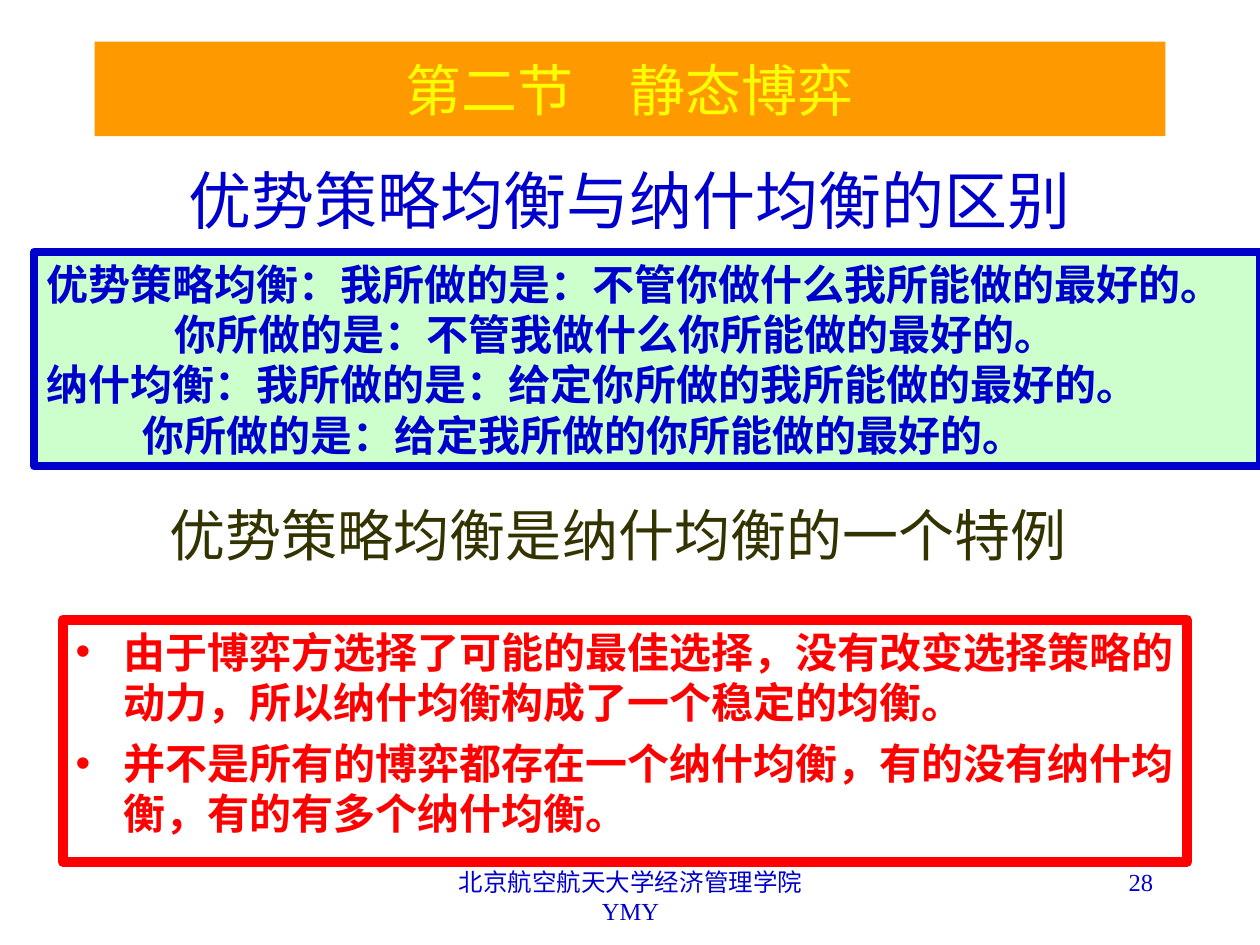
import pptx
import pptx.dml.color
import pptx.enum.shapes
import pptx.enum.text
import pptx.oxml.ns
import pptx.util
from lxml import etree

Inches = pptx.util.Inches
Align = pptx.enum.text.PP_ALIGN
Anchor = pptx.enum.text.MSO_ANCHOR

COLORS = {
    "blue": "0000CC",
    "orange": "FF9900",
    "yellow": "FFFF00",
    "mint": "CCFFCC",
    "olive": "333300",
    "red": "FF0000",
    "white": "FFFFFF",
}
SERIF = "Times New Roman"
SANS = "Arial"
CHINESE = "Noto Sans CJK SC"


def rgb(name):
    """Return the named colour."""
    return pptx.dml.color.RGBColor.from_string(COLORS[name])


def add_element(parent, tag, **attributes):
    """Append a DrawingML element to its parent."""
    return etree.SubElement(parent, pptx.oxml.ns.qn(tag), attributes)


def add_bullet(para, color):
    """Give a paragraph a coloured round bullet and a hanging indent."""
    properties = para._p.get_or_add_pPr()
    properties.set("marL", str(Inches(0.38)))
    properties.set("indent", str(-Inches(0.38)))
    bullet_color = add_element(properties, "a:buClr")
    add_element(bullet_color, "a:srgbClr", val=COLORS[color])
    add_element(properties, "a:buFont", typeface=SANS)
    add_element(properties, "a:buChar", char="•")


def write_text(box, lines, *, size, color, font=SERIF, bold=False, align=Align.LEFT,
               anchor=Anchor.TOP, wrap=True, bullets=False, indents=None, gap=0):
    """Fill a box with formatted paragraphs."""
    frame = box.text_frame
    frame.auto_size = pptx.enum.text.MSO_AUTO_SIZE.NONE
    frame.word_wrap = wrap
    frame.vertical_anchor = anchor
    frame.margin_left = frame.margin_right = Inches(0.1)
    frame.margin_top = frame.margin_bottom = Inches(0.05)
    for index, line in enumerate(lines):
        para = frame.add_paragraph() if index else frame.paragraphs[0]
        para.alignment = align
        para.line_spacing = pptx.util.Pt(size * 1.2)
        para.space_before = pptx.util.Pt(gap if index else 0)
        if bullets:
            add_bullet(para, color)
        if indents:
            para._p.get_or_add_pPr().set("marL", str(Inches(indents[index])))
        span = para.add_run()
        span.text = line
        span.font.size = pptx.util.Pt(size)
        span.font.bold = bold
        span.font.color.rgb = rgb(color)
        span.font.name = font
        add_element(span._r.get_or_add_rPr(), "a:ea", typeface=CHINESE)


def paint(box, fill, line=None, weight=0):
    """Set the fill and the outline of a box."""
    box.fill.solid()
    box.fill.fore_color.rgb = rgb(fill)
    if line:
        box.line.color.rgb = rgb(line)
        box.line.width = pptx.util.Pt(weight)
    else:
        box.line.fill.background()


def place(box, left, top, width, height):
    """Move and size a placeholder."""
    box.left, box.top = Inches(left), Inches(top)
    box.width, box.height = Inches(width), Inches(height)


def add_panel(page, left, top, width, height, **style):
    """Add a painted rectangle without a shadow."""
    box = page.shapes.add_shape(pptx.enum.shapes.MSO_SHAPE.RECTANGLE, Inches(left),
                                Inches(top), Inches(width), Inches(height))
    box.shadow.inherit = False
    paint(box, **style)
    return box


def add_footer(page, text, left, width, align):
    """Add a text box on the footer line."""
    box = page.shapes.add_textbox(Inches(left), Inches(6.83), Inches(width), Inches(0.5))
    write_text(box, [text], size=14, color="blue", align=align)


def main():
    """Build the slide and save it."""
    deck = pptx.Presentation()
    deck.slide_width, deck.slide_height = Inches(10), Inches(7.5)
    page = deck.slides.add_slide(deck.slide_layouts[1])

    title = page.shapes.title
    place(title, 0.75, 0.33, 8.5, 0.75)
    paint(title, "orange")
    write_text(title, ["第二节　静态博弈"], size=32, color="yellow",
               align=Align.CENTER, anchor=Anchor.MIDDLE)

    body = page.placeholders[1]
    place(body, 0.5, 4.92, 8.92, 1.92)
    paint(body, "white", "red", 6)
    write_text(body, [
        "由于博弈方选择了可能的最佳选择，没有改变选择策略的动力，所以纳什均衡构成了一个稳定的均衡。",
        "并不是所有的博弈都存在一个纳什均衡，有的没有纳什均衡，有的有多个纳什均衡。",
    ], size=24, color="red", font=SANS, bold=True, bullets=True, gap=6)

    heading = add_panel(page, 1, 1.17, 8, 0.83, fill="white")
    write_text(heading, ["优势策略均衡与纳什均衡的区别"], size=36, color="blue",
               align=Align.CENTER, anchor=Anchor.MIDDLE)

    comparison = add_panel(page, 0.27, 2, 9.73, 1.7, fill="mint", line="blue", weight=4.5)
    write_text(comparison, [
        "优势策略均衡：我所做的是：不管你做什么我所能做的最好的。",
        "你所做的是：不管我做什么你所能做的最好的。",
        "纳什均衡：我所做的是：给定你所做的我所能做的最好的。",
        "你所做的是：给定我所做的你所能做的最好的。",
    ], size=24, color="blue", font=CHINESE, bold=True, indents=[0, 1.02, 0, 0.76])

    conclusion = add_panel(page, 1.25, 3.92, 7.32, 0.64, fill="white")
    write_text(conclusion, ["优势策略均衡是纳什均衡的一个特例"], size=32, color="olive",
               font=SANS, wrap=False)

    add_footer(page, "北京航空航天大学经济管理学院 YMY", 3.42, 3.17, Align.CENTER)
    add_footer(page, "28", 7.17, 2.08, Align.RIGHT)
    deck.save("out.pptx")


if __name__ == "__main__":
    main()
